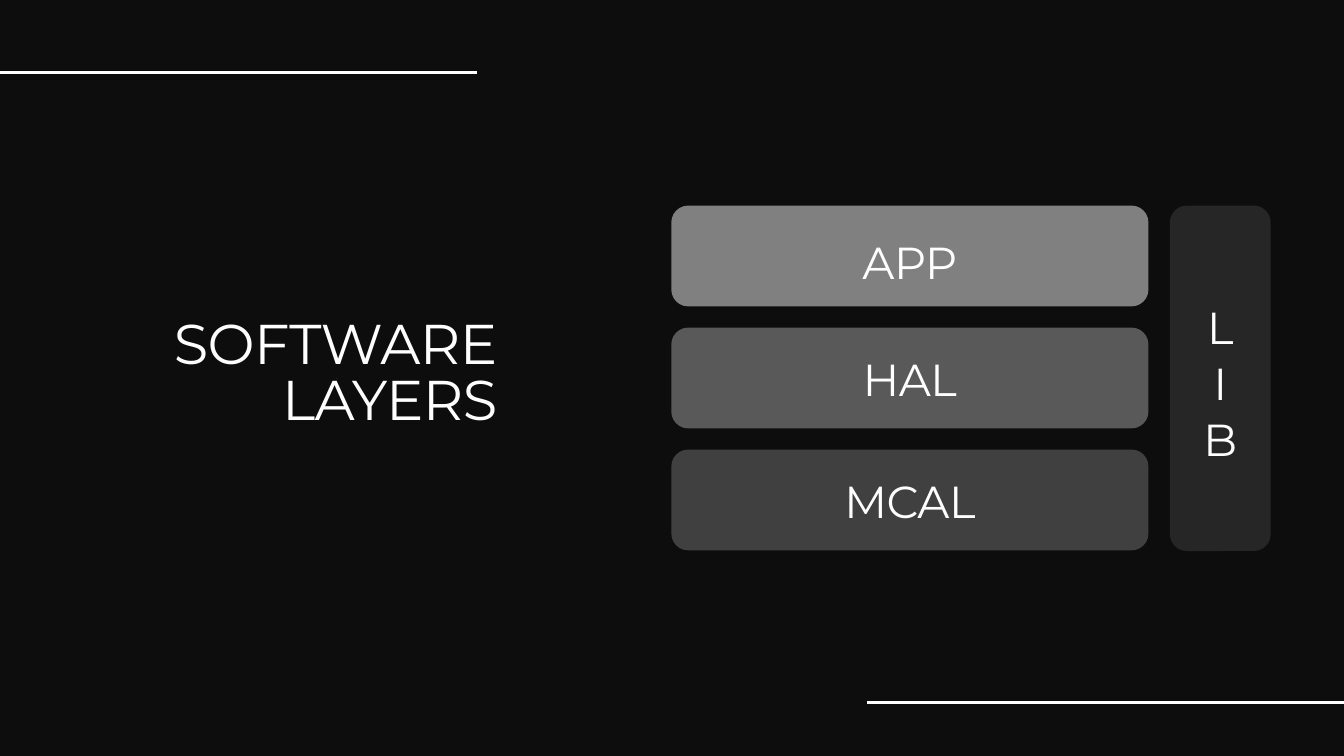
from dataclasses import dataclass

from lxml import etree
from pptx import Presentation
from pptx.dml.color import RGBColor
from pptx.enum.shapes import MSO_CONNECTOR, MSO_SHAPE
from pptx.enum.text import MSO_ANCHOR, MSO_AUTO_SIZE, PP_ALIGN
from pptx.oxml.ns import qn
from pptx.util import Inches, Pt

STRAIGHT = MSO_CONNECTOR.STRAIGHT
ROUNDED = MSO_SHAPE.ROUNDED_RECTANGLE
TOP, NO_FIT = MSO_ANCHOR.TOP, MSO_AUTO_SIZE.NONE
RIGHT, CENTER = PP_ALIGN.RIGHT, PP_ALIGN.CENTER


@dataclass(frozen=True)
class Theme:
    background: str = "0D0D0D"
    ink: str = "FFFFFF"
    app: str = "808080"
    hal: str = "595959"
    mcal: str = "404040"
    lib: str = "262626"
    font: str = "Montserrat"
    title_size: int = 60
    label_size: int = 48
    leading: int = 60
    rule_width: int = 3


THEME = Theme()


def rgb(value):
    return RGBColor.from_string(value)


def write_lines(tf, lines, size, align):
    frame_format = dict(margin_left=0, margin_right=0, margin_top=0, margin_bottom=0,
                        word_wrap=True, auto_size=NO_FIT, vertical_anchor=TOP)
    for name, value in frame_format.items():
        setattr(tf, name, value)
    para_format = dict(alignment=align, line_spacing=Pt(THEME.leading),
                       space_before=Pt(0), space_after=Pt(0))
    for i, line in enumerate(lines):
        p = tf.paragraphs[0] if i == 0 else tf.add_paragraph()
        for name, value in para_format.items():
            setattr(p, name, value)
        r = p.add_run()
        r.text = line
        r.font.name = THEME.font
        r.font.size = Pt(size)
        r.font.color.rgb = rgb(THEME.ink)
        r.font._element.set("spc", "-60")


def add_rule(s, left, top, width):
    rule = s.shapes.add_connector(STRAIGHT, Inches(left), Inches(top),
                                  Inches(left + width), Inches(top))
    rule.line.color.rgb = rgb(THEME.ink)
    rule.line.width = Pt(THEME.rule_width)
    etree.SubElement(rule._element.spPr, qn("a:effectLst"))


def add_title(s, left, top, width, height):
    title = s.shapes.title
    title.left, title.top = Inches(left), Inches(top)
    title.width, title.height = Inches(width), Inches(height)
    write_lines(title.text_frame, ["SOFTWARE", "LAYERS"], THEME.title_size, RIGHT)


def add_block(s, left, top, width, height, color, lines, label_top, inset=0):
    sp = s.shapes.add_shape(ROUNDED, Inches(left), Inches(top),
                            Inches(width), Inches(height))
    sp.shadow.inherit = False
    sp.fill.solid()
    sp.fill.fore_color.rgb = rgb(color)
    sp.line.fill.background()
    label = s.shapes.add_textbox(Inches(left + inset), Inches(top + label_top),
                                 Inches(width - 2 * inset), Inches(0.82 * len(lines)))
    write_lines(label.text_frame, lines, THEME.label_size, CENTER)


def add_layer_diagram(s, left, top, width, height):
    bar, gap = 1.5, 0.32
    layers = [("APP", THEME.app, 0.4), ("HAL", THEME.hal, 0.33), ("MCAL", THEME.mcal, 0.33)]
    # Stacked layers
    for i, (name, color, label_top) in enumerate(layers):
        add_block(s, left, top + i * (bar + gap - 0.005), width - bar - gap, bar,
                  color, [name], label_top, inset=0.23)
    # Library column beside all layers
    add_block(s, left + width - bar, top, bar, height, THEME.lib, list("LIB"), 1.36)


def build_slide(prs):
    s = prs.slides.add_slide(prs.slide_layouts[5])
    s.background.fill.solid()
    s.background.fill.fore_color.rgb = rgb(THEME.background)
    # Edge rules
    add_rule(s, 0, 1.08, 7.1)
    add_rule(s, 12.9, 10.46, 7.1)
    # Title and diagram
    add_title(s, 0.76, 4.75, 6.64, 1.68)
    add_layer_diagram(s, 9.99, 3.06, 8.92, 5.14)


prs = Presentation()
prs.slide_width, prs.slide_height = Inches(20), Inches(11.25)
build_slide(prs)
prs.save("out.pptx")
